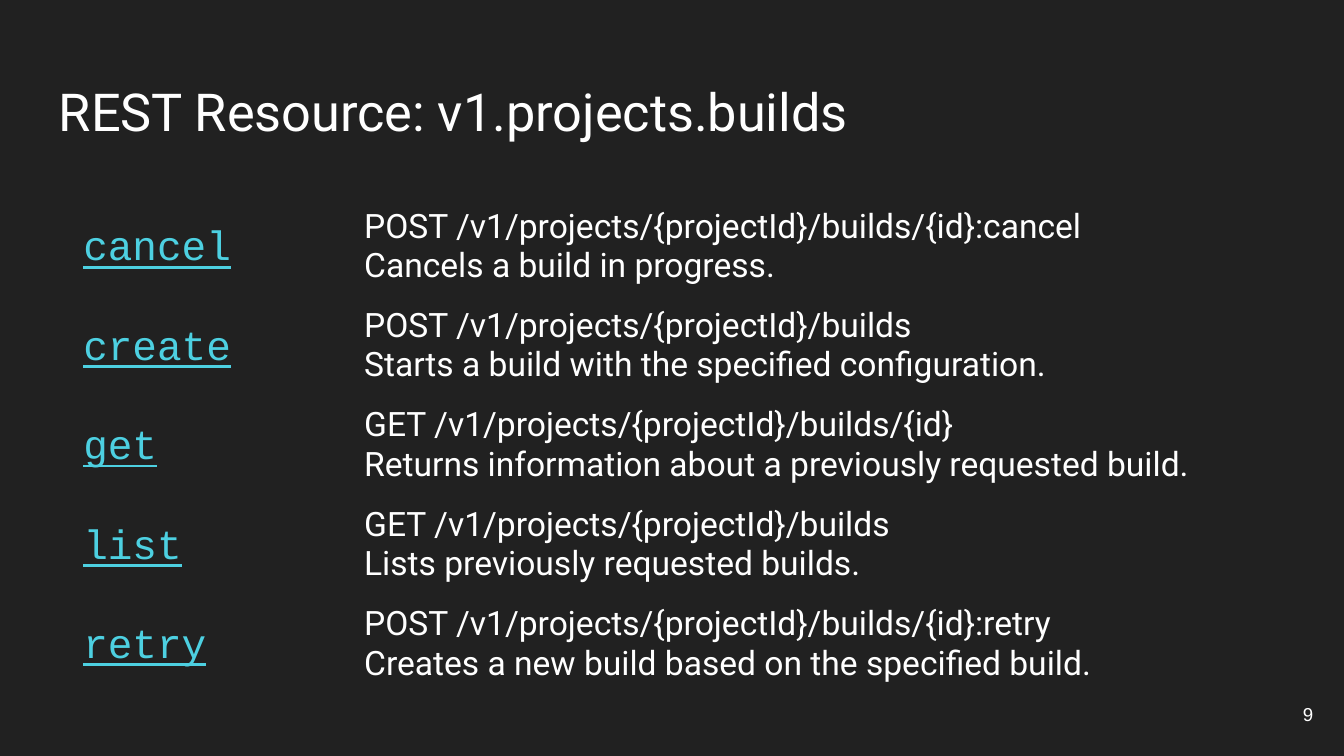
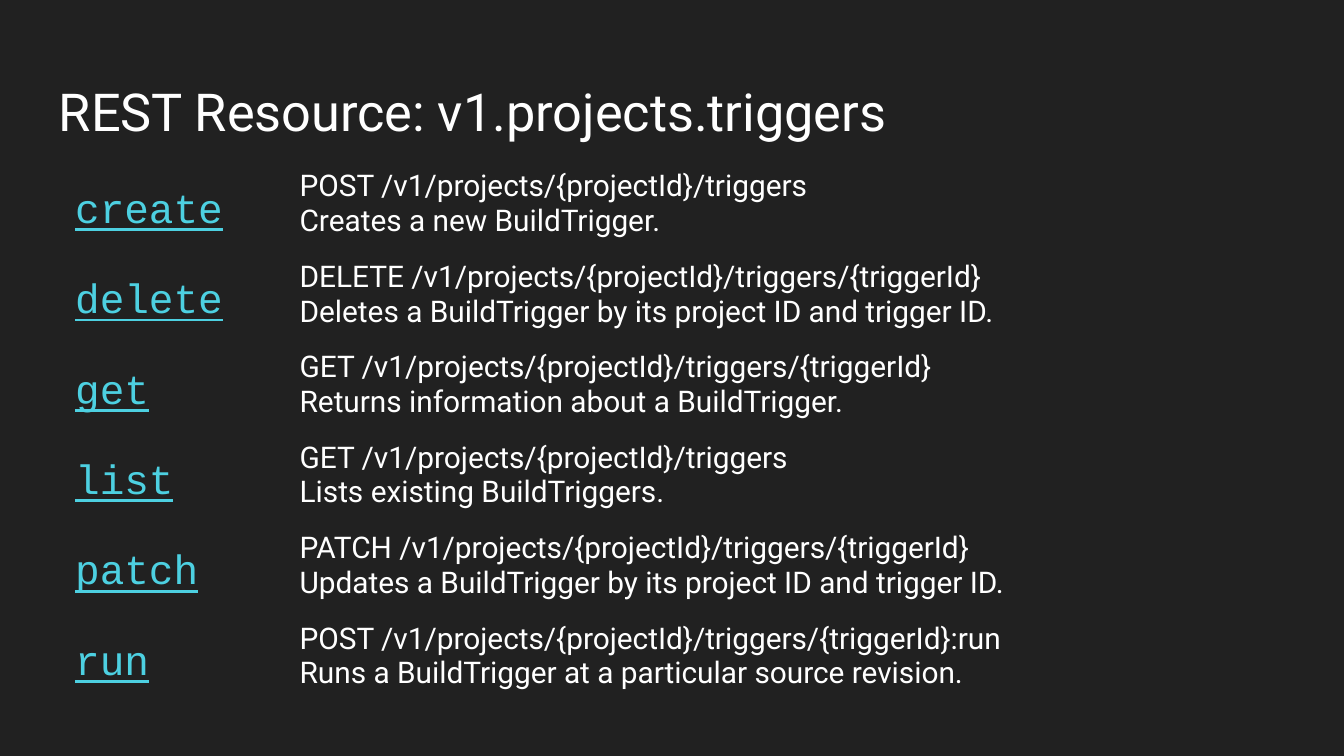
from lxml import etree
from pptx import Presentation
from pptx.dml.color import RGBColor
from pptx.enum import text
from pptx.oxml.ns import qn
from pptx.util import Inches, Pt

# Content: method, request, description
BUILDS = "/v1/projects/{projectId}/builds"
TRIGGERS = "/v1/projects/{projectId}/triggers"
SLIDES = [
    {
        "title": "REST Resource: v1.projects.builds",
        "number": "9",
        "position": (0.54, 1.47),
        "columns": (2.09, 6.83),
        "size": 18,
        "methods": [
            ("cancel", f"POST {BUILDS}/{{id}}:cancel", "Cancels a build in progress."),
            ("create", f"POST {BUILDS}", "Starts a build with the specified configuration."),
            ("get", f"GET {BUILDS}/{{id}}",
             "Returns information about a previously requested build."),
            ("list", f"GET {BUILDS}", "Lists previously requested builds."),
            ("retry", f"POST {BUILDS}/{{id}}:retry",
             "Creates a new build based on the specified build."),
        ],
    },
    {
        "title": "REST Resource: v1.projects.triggers",
        "number": None,
        "position": (0.48, 1.19),
        "columns": (1.67, 7.37),
        "size": 16,
        "methods": [
            ("create", f"POST {TRIGGERS}", "Creates a new BuildTrigger."),
            ("delete", f"DELETE {TRIGGERS}/{{triggerId}}",
             "Deletes a BuildTrigger by its project ID and trigger ID."),
            ("get", f"GET {TRIGGERS}/{{triggerId}}",
             "Returns information about a BuildTrigger."),
            ("list", f"GET {TRIGGERS}", "Lists existing BuildTriggers."),
            ("patch", f"PATCH {TRIGGERS}/{{triggerId}}",
             "Updates a BuildTrigger by its project ID and trigger ID."),
            ("run", f"POST {TRIGGERS}/{{triggerId}}:run",
             "Runs a BuildTrigger at a particular source revision."),
        ],
    },
]

# Shared style
BACKGROUND, WHITE, CYAN = "212121", "FFFFFF", "4DD0E1"
ROW_HEIGHT = 0.58
PLAIN_TABLE = "{2D5ABB26-0587-4C30-8999-92F81FD0307C}"


def color(value):
    return RGBColor.from_string(value)


def set_font(paragraph, name, size, value, underline=False):
    font = paragraph.font
    font.name, font.size, font.underline = name, Pt(size), underline
    font.color.rgb = color(value)


def add_text(slide, box, words, name, size, align=text.PP_ALIGN.LEFT,
             anchor=text.MSO_ANCHOR.TOP):
    frame = slide.shapes.add_textbox(*map(Inches, box)).text_frame
    frame.word_wrap = True
    frame.vertical_anchor = anchor
    frame.margin_left = frame.margin_right = Inches(0.1)
    frame.margin_top = frame.margin_bottom = Inches(0.1)
    paragraph = frame.paragraphs[0]
    paragraph.text = words
    paragraph.alignment = align
    set_font(paragraph, name, size, WHITE)


def fill_cell(cell, lines, name, size, value, underline=False, spacing=None):
    cell.margin_left = cell.margin_right = Inches(0.08)
    cell.margin_top = cell.margin_bottom = Inches(0.07)
    properties = cell._tc.get_or_add_tcPr()
    for side in ("a:lnL", "a:lnR", "a:lnT", "a:lnB"):
        border = etree.SubElement(properties, qn(side))
        etree.SubElement(border, qn("a:noFill"))
    cell.fill.background()
    cell.text = "\n".join(lines)
    for paragraph in cell.text_frame.paragraphs:
        paragraph.line_spacing = spacing
        set_font(paragraph, name, size, value, underline)


def add_methods(slide, content):
    methods, columns = content["methods"], content["columns"]
    box = (*content["position"], sum(columns), ROW_HEIGHT * len(methods))
    table = slide.shapes.add_table(len(methods), len(columns), *map(Inches, box)).table
    table.first_row = table.horz_banding = False
    table._tbl.tblPr.find(qn("a:tableStyleId")).text = PLAIN_TABLE
    for column, width in zip(table.columns, columns):
        column.width = Inches(width)
    for row, (method, *details) in zip(table.rows, methods):
        name_cell, detail_cell = row.cells
        fill_cell(name_cell, [method], "Courier New", 22, CYAN, True, 1.43)
        fill_cell(detail_cell, details, "Roboto", content["size"], WHITE)


def main():
    presentation = Presentation()
    # Widescreen, 16:9
    presentation.slide_width = Inches(10)
    presentation.slide_height = Inches(10) * 9 // 16
    for content in SLIDES:
        slide = presentation.slides.add_slide(presentation.slide_layouts[6])
        slide.background.fill.solid()
        slide.background.fill.fore_color.rgb = color(BACKGROUND)
        # Page number, method table, title
        if content["number"]:
            add_text(slide, (9.27, 5.1, 0.6, 0.43), content["number"], "Arial", 10,
                     text.PP_ALIGN.RIGHT, text.MSO_ANCHOR.MIDDLE)
        add_methods(slide, content)
        add_text(slide, (0.34, 0.49, 9.32, 0.63), content["title"], "Roboto", 28)
    presentation.save("out.pptx")


if __name__ == "__main__":
    main()
